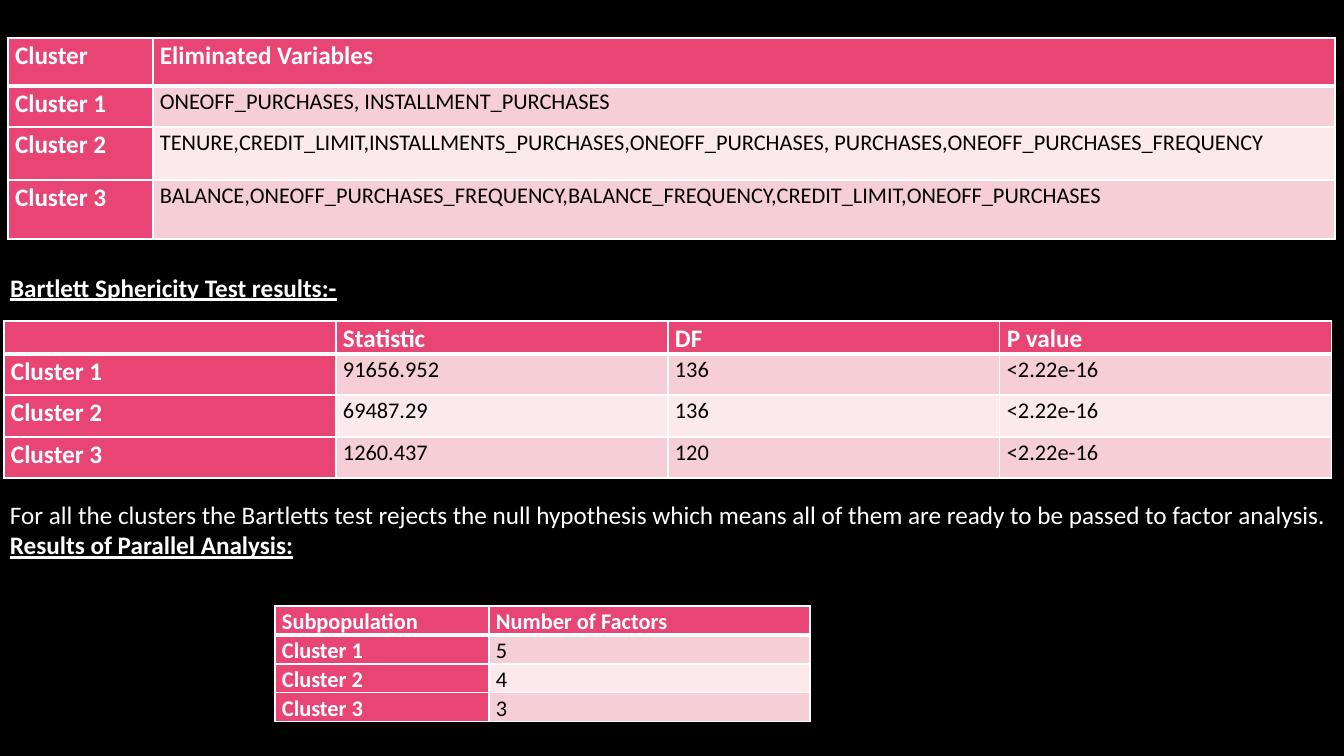
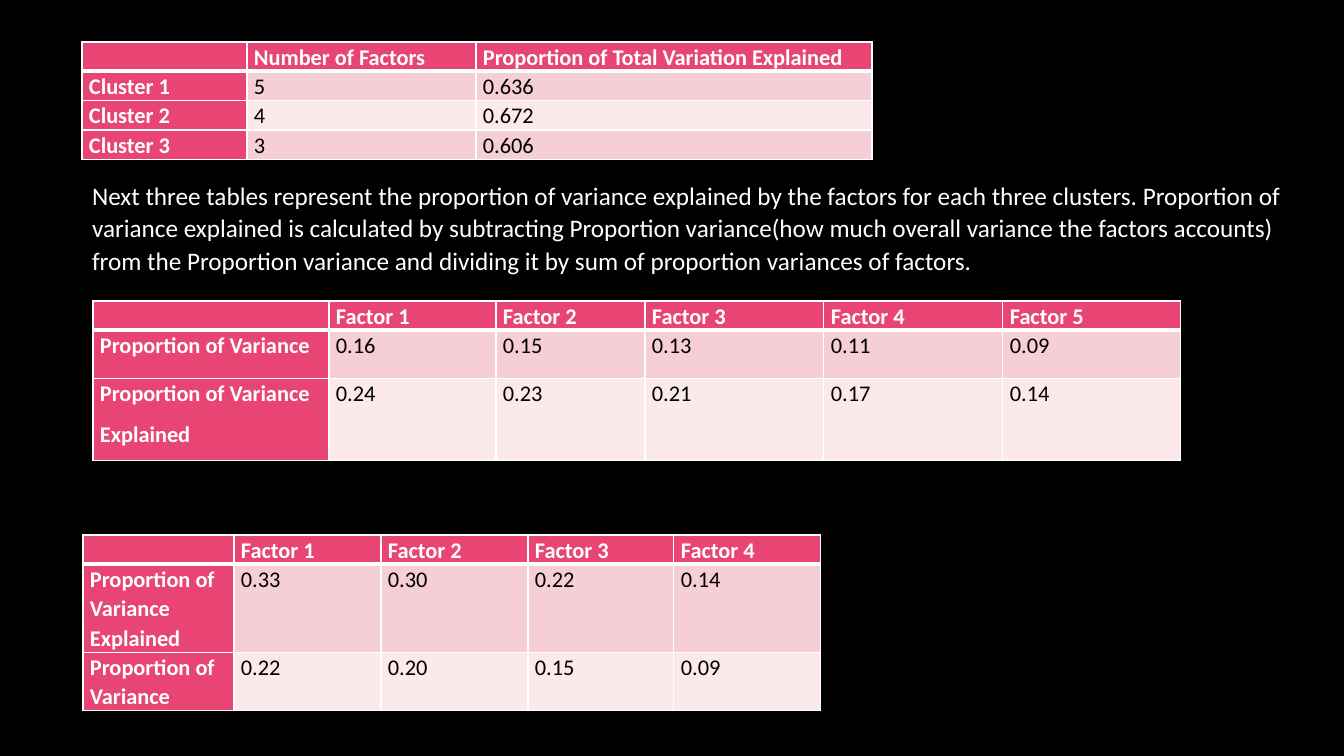
from dataclasses import dataclass

from pptx import Presentation
from pptx.dml.color import RGBColor
from pptx.enum.text import MSO_ANCHOR, MSO_AUTO_SIZE
from pptx.oxml.ns import qn
from pptx.oxml.xmlchemy import OxmlElement
from pptx.util import Emu, Pt

EMU_PER_PX = 914400 / 100.8


@dataclass(frozen=True)
class Theme:
    font: str = "Calibri"
    background: str = "000000"
    light: str = "FFFFFF"
    dark: str = "000000"
    accent: str = "E84574"
    bands: tuple = ("F6CFD6", "FBE9EB")
    large: int = 18
    small: int = 16
    line_spacing: float = 1.07
    space_after: int = 8
    cell_inset: int = 7
    thin_line: int = 1
    thick_line: int = 3


THEME = Theme()


def px(length):
    return Emu(round(length * EMU_PER_PX))


def rgb(code):
    return RGBColor.from_string(code)


def style_runs(paragraph, size, color, bold=False, underline=False):
    for run in paragraph.runs:
        font = run.font
        font.name = THEME.font
        font.size = Pt(size)
        font.bold = bold
        font.underline = underline
        font.color.rgb = rgb(color)


def space_lines(paragraph):
    paragraph.line_spacing = THEME.line_spacing
    paragraph.space_after = Pt(THEME.space_after)


def add_border(cell, sides):
    properties = cell._tc.get_or_add_tcPr()
    for position, (side, width) in enumerate(sides.items()):
        line = OxmlElement(f"a:ln{side}")
        line.set("w", str(Pt(width)))
        fill = OxmlElement("a:solidFill")
        color = OxmlElement("a:srgbClr")
        color.set("val", THEME.light)
        fill.append(color)
        line.append(fill)
        properties.insert(position, line)


def fill_cell(cell, text, row, column, label_size):
    is_label = row == 0 or column == 0
    cell.fill.solid()
    cell.fill.fore_color.rgb = rgb(
        THEME.accent if is_label else THEME.bands[(row - 1) % 2])
    cell.margin_left = cell.margin_right = px(THEME.cell_inset)
    cell.margin_top = cell.margin_bottom = 0
    add_border(cell, {
        "L": THEME.thin_line,
        "R": THEME.thin_line,
        "T": THEME.thick_line if row == 1 else THEME.thin_line,
        "B": THEME.thick_line if row == 0 else THEME.thin_line,
    })
    cell.text_frame.text = text
    for paragraph in cell.text_frame.paragraphs:
        space_lines(paragraph)
        if is_label:
            style_runs(paragraph, label_size, THEME.light, bold=True)
        else:
            style_runs(paragraph, THEME.small, THEME.dark)
        if not text:
            ending = OxmlElement("a:endParaRPr")
            ending.set("sz", str(label_size * 100))
            paragraph._p.append(ending)


def add_data_table(slide, left, top, widths, heights, records,
                   label_size=THEME.small):
    table = slide.shapes.add_table(
        len(heights), len(widths), px(left), px(top),
        px(sum(widths)), px(sum(heights))).table
    for column, width in zip(table.columns, widths):
        column.width = px(width)
    for row, height in zip(table.rows, heights):
        row.height = px(height)
    for row, record in enumerate(records):
        for column, text in enumerate(record):
            fill_cell(table.cell(row, column), text, row, column, label_size)


def place_body(slide, left, top, width, height, text, anchor):
    body = slide.placeholders[1]
    body.left, body.top = px(left), px(top)
    body.width, body.height = px(width), px(height)
    frame = body.text_frame
    frame.text = text
    frame.word_wrap = True
    frame.auto_size = MSO_AUTO_SIZE.NONE
    frame.vertical_anchor = anchor
    paragraph = frame.paragraphs[0]
    paragraph.space_before = Pt(0)
    properties = paragraph._p.get_or_add_pPr()
    properties.set("marL", "0")
    properties.set("indent", "0")
    properties.append(OxmlElement("a:buNone"))
    return paragraph


def add_conclusion(slide, left, top, width, height, finding, heading):
    frame = slide.shapes.add_textbox(
        px(left), px(top), px(width), px(height)).text_frame
    frame.word_wrap = True
    frame.vertical_anchor = MSO_ANCHOR.MIDDLE
    frame.text = f"{finding}\n{heading}"
    finding_line, heading_line = frame.paragraphs
    style_runs(finding_line, THEME.large, THEME.light)
    style_runs(heading_line, THEME.large, THEME.light, bold=True, underline=True)


def add_body_slide(deck):
    slide = deck.slides.add_slide(deck.slide_layouts[1])
    title = slide.shapes.title._element
    title.getparent().remove(title)
    return slide


def build_test_results(deck):
    slide = add_body_slide(deck)
    heading = place_body(slide, 0, 266, 1344, 42,
                         "Bartlett Sphericity Test results:-", MSO_ANCHOR.MIDDLE)
    style_runs(heading, THEME.large, THEME.light, bold=True, underline=True)
    add_data_table(slide, 8, 38, (145, 1182), (48, 41, 53, 59), (
        ("Cluster", "Eliminated Variables"),
        ("Cluster 1", "ONEOFF_PURCHASES, INSTALLMENT_PURCHASES"),
        ("Cluster 2", "TENURE,CREDIT_LIMIT,INSTALLMENTS_PURCHASES,ONEOFF_PURCHASES, "
                      "PURCHASES,ONEOFF_PURCHASES_FREQUENCY"),
        ("Cluster 3", "BALANCE,ONEOFF_PURCHASES_FREQUENCY,BALANCE_FREQUENCY,"
                      "CREDIT_LIMIT,ONEOFF_PURCHASES"),
    ), THEME.large)
    add_data_table(slide, 4, 321, (332,) * 4, (33, 41, 42, 41), (
        ("", "Statistic", "DF", "P value"),
        ("Cluster 1", "91656.952", "136", "<2.22e-16"),
        ("Cluster 2", "69487.29", "136", "<2.22e-16"),
        ("Cluster 3", "1260.437", "120", "<2.22e-16"),
    ), THEME.large)
    add_conclusion(
        slide, 0, 494, 1344, 71,
        "For all the clusters the Bartletts test rejects the null hypothesis "
        "which means all of them are ready to be passed to factor analysis.",
        "Results of Parallel Analysis:")
    add_data_table(slide, 275, 606, (214, 321), (29,) * 4, (
        ("Subpopulation", "Number of Factors"),
        ("Cluster 1", "5"),
        ("Cluster 2", "4"),
        ("Cluster 3", "3"),
    ))


def build_variance_explained(deck):
    slide = add_body_slide(deck)
    explanation = place_body(
        slide, 82, 173, 1213, 107,
        "Next three tables represent the proportion of variance explained by the "
        "factors for each three clusters. Proportion of variance explained is "
        "calculated by subtracting Proportion variance(how much overall variance "
        "the factors accounts) from the Proportion variance and dividing it by "
        "sum of proportion variances of factors.", MSO_ANCHOR.TOP)
    space_lines(explanation)
    style_runs(explanation, THEME.large, THEME.light)
    add_data_table(slide, 82, 42, (165, 229, 396), (29,) * 4, (
        ("", "Number of Factors", "Proportion of Total Variation Explained"),
        ("Cluster 1", "5", "0.636"),
        ("Cluster 2", "4", "0.672"),
        ("Cluster 3", "3", "0.606"),
    ))
    factors = [f"Factor {number}" for number in range(1, 6)]
    add_data_table(slide, 93, 301, (236, 167, 149, 179, 179, 178), (29, 48, 82), (
        ("", *factors),
        ("Proportion of Variance", "0.16", "0.15", "0.13", "0.11", "0.09"),
        ("Proportion of Variance\nExplained", "0.24", "0.23", "0.21", "0.17", "0.14"),
    ))
    add_data_table(slide, 83, 535, (151, 147, 147, 146, 147), (29, 87, 57), (
        ("", *factors[:4]),
        ("Proportion of Variance Explained", "0.33", "0.30", "0.22", "0.14"),
        ("Proportion of Variance", "0.22", "0.20", "0.15", "0.09"),
    ))


def main():
    deck = Presentation()
    deck.slide_width, deck.slide_height = px(1344), px(756)
    backdrop = deck.slide_master.background.fill
    backdrop.solid()
    backdrop.fore_color.rgb = rgb(THEME.background)
    build_test_results(deck)
    build_variance_explained(deck)
    deck.save("out.pptx")


if __name__ == "__main__":
    main()
